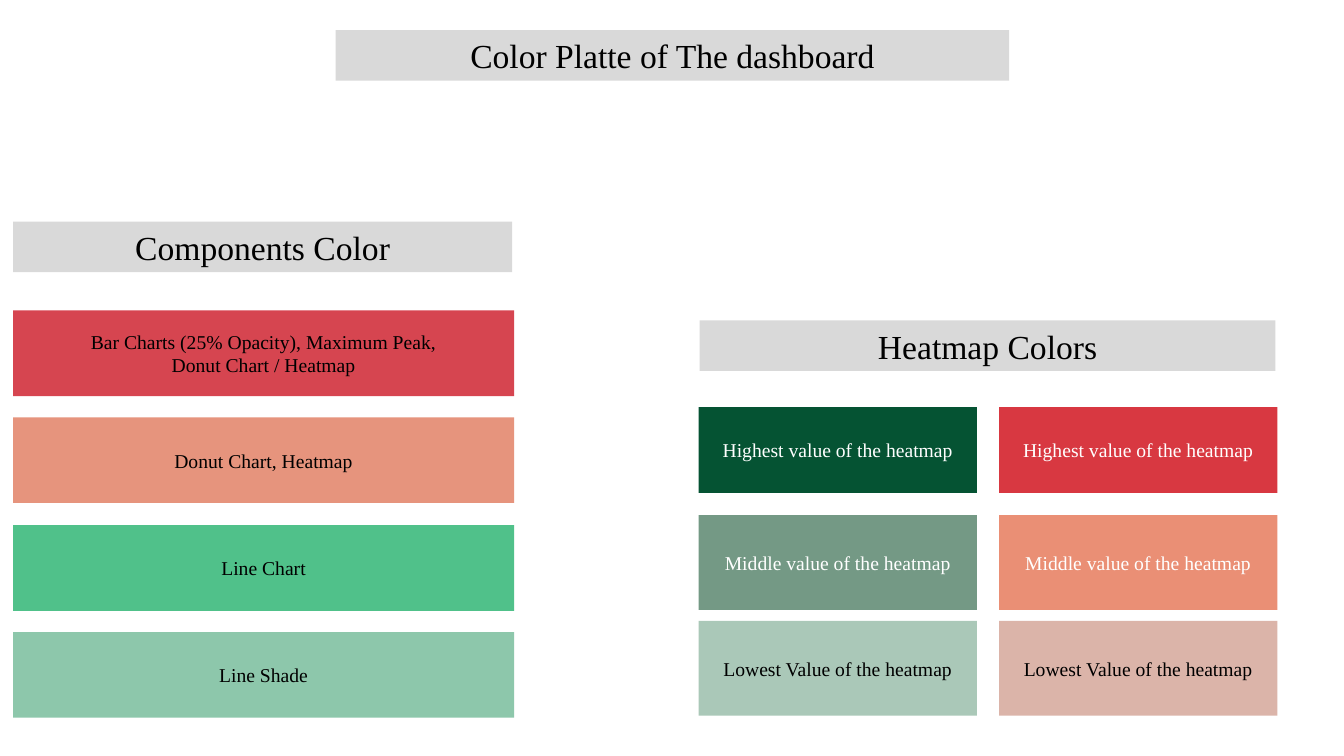
from pptx import Presentation
from pptx.dml.color import RGBColor
from pptx.enum.shapes import MSO_SHAPE
from pptx.enum.text import MSO_ANCHOR, MSO_AUTO_SIZE, PP_ALIGN
from pptx.util import Pt

RECT = MSO_SHAPE.RECTANGLE
MIDDLE = MSO_ANCHOR.MIDDLE
TOP = MSO_ANCHOR.TOP
CENTER = PP_ALIGN.CENTER
GROW = MSO_AUTO_SIZE.SHAPE_TO_FIT_TEXT
FONT = "Times New Roman"
BLACK, WHITE, GRAY = "000000", "FFFFFF", "D9D9D9"
HEAD = 50

PARTS = [
    ("Bar Charts (25% Opacity), Maximum Peak,\nDonut Chart / Heatmap", "D64550"),
    ("Donut Chart, Heatmap", "E6947D"),
    ("Line Chart", "50C18A"),
    ("Line Shade", "8DC7AB"),
]
LEVELS = [
    ("Highest value of the heatmap", WHITE, 86, 85, ("055333", "D83841")),
    ("Middle value of the heatmap", WHITE, 193, 94, ("749985", "EA8F75")),
    ("Lowest Value of the heatmap", BLACK, 298, 94, ("AAC8B8", "DBB4A9")),
]


def px(n):
    """Turn px, 100 to the inch, into EMU."""
    return n * 9144


def color(code):
    """Turn a hex string into a colour."""
    return RGBColor.from_string(code)


def write(shape, text, size=14, ink=BLACK, anchor=MIDDLE):
    """Put centred text into a shape."""
    frame = shape.text_frame
    frame.word_wrap = True
    frame.vertical_anchor = anchor
    para = frame.paragraphs[0]
    para.text = text
    para.alignment = CENTER
    for run in para.runs:
        run.font.name = FONT
        run.font.size = Pt(size)
        run.font.color.rgb = color(ink)


def block(slide, box, fill, text, **style):
    """Draw a filled rectangle with text."""
    shape = slide.shapes.add_shape(RECT, *map(px, box))
    shape.shadow.inherit = False
    shape.fill.solid()
    shape.fill.fore_color.rgb = color(fill)
    shape.line.fill.background()
    write(shape, text, **style)
    return shape


def header(slide, left, top, width, text):
    """Draw a gray heading bar."""
    bar = block(slide, (left, top, width, HEAD), GRAY, text, size=24, anchor=TOP)
    bar.text_frame.auto_size = GROW


def components(slide, left, top, width, height):
    """Draw the component heading and its stack of swatches."""
    header(slide, left, top, width - 2, "Components Color")
    tall, first = 85, 88
    step = (height - first - tall) / (len(PARTS) - 1)
    for i, (text, fill) in enumerate(PARTS):
        y = top + first + round(i * step)
        block(slide, (left, y, width, tall), fill, text)


def heatmap(slide, left, top, width):
    """Draw the heatmap heading and its two columns of swatches."""
    header(slide, left + 1, top, width - 3, "Heatmap Colors")
    gap = 22
    wide = (width - gap) // 2
    for text, ink, drop, tall, fills in LEVELS:
        for col, fill in enumerate(fills):
            x = left + col * (wide + gap)
            block(slide, (x, top + drop, wide, tall), fill, text, ink=ink)


def main():
    """Build and save the slide."""
    deck = Presentation()
    deck.slide_width, deck.slide_height = px(1333), px(750)
    slide = deck.slides.add_slide(deck.slide_layouts[6])
    header(slide, 333, 30, 668, "Color Platte of The dashboard")
    components(slide, 13, 220, 497, 492)
    heatmap(slide, 693, 318, 574)
    deck.save("out.pptx")


if __name__ == "__main__":
    main()
